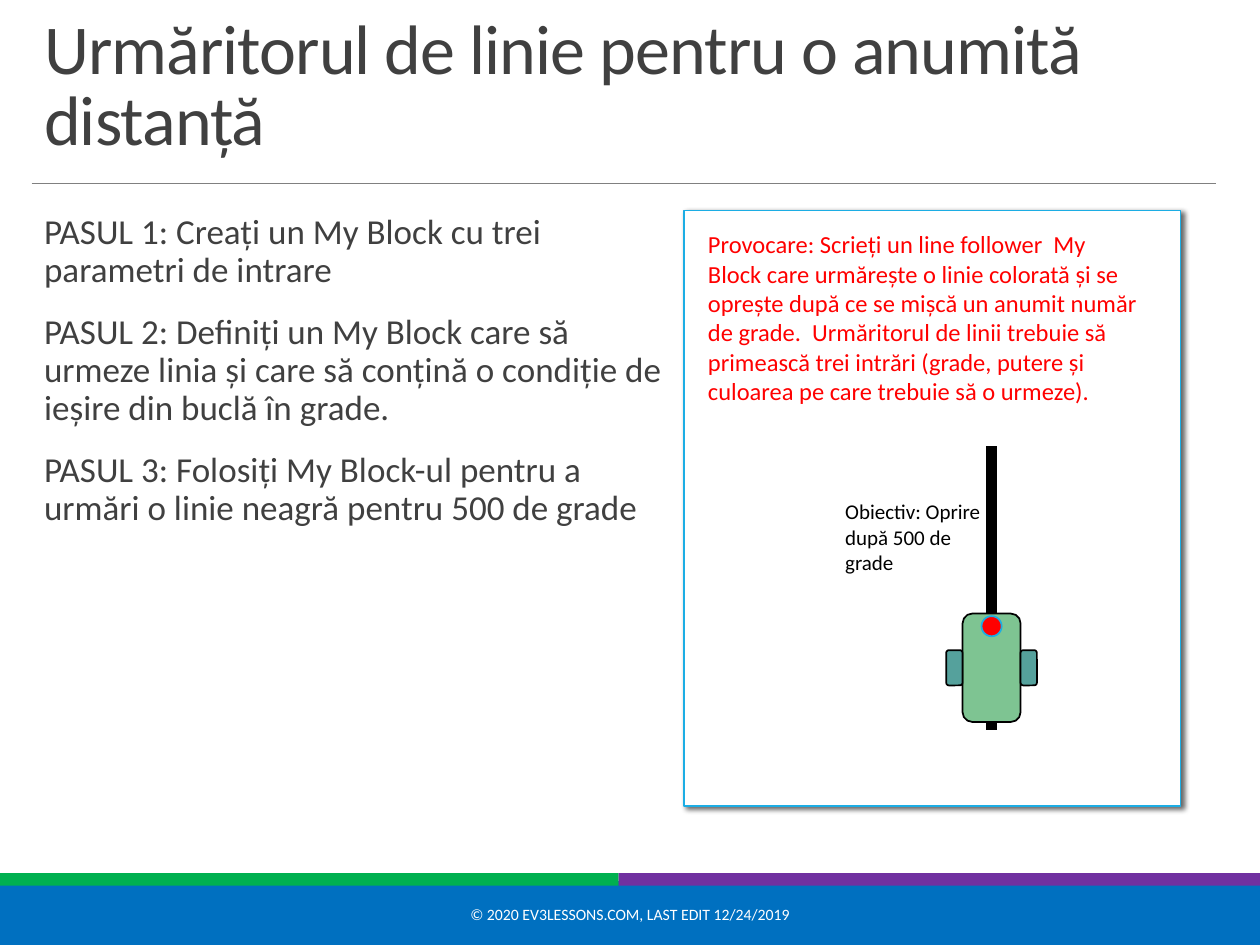
from lxml.etree import SubElement
from pptx import Presentation
from pptx.dml.color import RGBColor
from pptx.enum.shapes import MSO_CONNECTOR, MSO_SHAPE
from pptx.enum.text import MSO_ANCHOR, MSO_AUTO_SIZE, PP_ALIGN
from pptx.oxml.ns import qn
from pptx.util import Inches, Pt

COLORS = {
    "text": "404040", "challenge": "FF0000", "black": "000000", "white": "FFFFFF",
    "accent": "1CADE4", "rule": "808080", "footer": "0070C0", "green": "00B050",
    "purple": "7030A0", "robot": "7EC492", "wheel": "55A19C",
}
FONT = "Calibri"
WIDTH, HEIGHT = 10, 7.5

TITLE = "Urmăritorul de linie pentru o anumită distanță"
STEPS = [
    "PASUL 1: Creați un My Block cu trei parametri de intrare",
    "PASUL 2: Definiți un My Block care să urmeze linia și care să conțină "
    "o condiție de ieșire din buclă în grade.",
    "PASUL 3: Folosiți My Block-ul pentru a urmări o linie neagră pentru 500 de grade",
]
CHALLENGE = (
    "Provocare: Scrieți un line follower  My Block care urmărește o linie colorată și se "
    "oprește după ce se mișcă un anumit număr de grade.  Urmăritorul de linii trebuie să "
    "primească trei intrări (grade, putere și culoarea pe care trebuie să o urmeze)."
)
GOAL = "Obiectiv: Oprire după 500 de grade"
COPYRIGHT = "© 2020 EV3LESSONS.COM, LAST EDIT 12/24/2019"

MARGIN = 0.25
CONTENT_WIDTH = 0.94 * WIDTH
FOOTER_TOP = 7
STRIPE_TOP, STRIPE_HEIGHT, STRIPE_SPLIT = 6.93, 0.1, 4.91
TRACK_X = 7.87
ROBOT_Y = 5.3
ROBOT_WIDTH, ROBOT_HEIGHT = 0.46, 0.86
WHEEL_WIDTH, WHEEL_HEIGHT = 0.13, 0.28
SENSOR = 0.16


def rgb(name):
    return RGBColor.from_string(COLORS[name])


def place(shape, left, top, width, height):
    shape.left, shape.top = Inches(left), Inches(top)
    shape.width, shape.height = Inches(width), Inches(height)


def write(shape, *paragraphs, size, color="text", align=PP_ALIGN.LEFT,
          anchor=MSO_ANCHOR.TOP, line=1.0, before=0, after=0, indent=0, spacing=0):
    frame = shape.text_frame
    frame.word_wrap = True
    frame.auto_size = MSO_AUTO_SIZE.NONE
    frame.vertical_anchor = anchor
    for i, text in enumerate(paragraphs):
        paragraph = frame.paragraphs[0] if i == 0 else frame.add_paragraph()
        run = paragraph.add_run()
        run.text = text
        paragraph.alignment = align
        paragraph.line_spacing = line
        paragraph.space_before = Pt(before if i else 0)
        paragraph.space_after = Pt(after)
        if indent:
            props = paragraph._p.get_or_add_pPr()
            props.set("marL", str(Inches(indent)))
            props.set("indent", str(-Inches(indent)))
            SubElement(props, qn("a:buChar"), char=" ")
        run.font.name, run.font.size = FONT, Pt(size)
        run.font.color.rgb = rgb(color)
        if spacing:
            run._r.get_or_add_rPr().set("spc", str(round(spacing * 100)))


def add_text(slide, text, box, **style):
    write(slide.shapes.add_textbox(*map(Inches, box)), text, **style)


def add_block(shapes, kind, box, fill, outline=None, weight=1):
    block = shapes.add_shape(kind, *map(Inches, box))
    block.shadow.inherit = False
    block.fill.solid()
    block.fill.fore_color.rgb = rgb(fill)
    if outline:
        block.line.color.rgb = rgb(outline)
        block.line.width = Pt(weight)
    else:
        block.line.fill.background()
    return block


def add_line(slide, start, end, color, weight):
    line = slide.shapes.add_connector(MSO_CONNECTOR.STRAIGHT, *map(Inches, start + end))
    line.line.color.rgb = rgb(color)
    line.line.width = Pt(weight)
    SubElement(line._element.spPr, qn("a:effectLst"))


def add_shadow(block):
    effects = block._element.spPr.find(qn("a:effectLst"))
    shadow = SubElement(effects, qn("a:outerShdw"), blurRad=str(Pt(3)), dist=str(Pt(2)),
                        dir=str(45 * 60000), algn="tl", rotWithShape="0")
    tint = SubElement(shadow, qn("a:srgbClr"), val=COLORS["black"])
    SubElement(tint, qn("a:alpha"), val="60000")


def add_frame(slide):
    """Footer band, two-colour stripe and the rule under the title."""
    rect = MSO_SHAPE.RECTANGLE
    add_block(slide.shapes, rect, (0, FOOTER_TOP, WIDTH, HEIGHT - FOOTER_TOP),
              "footer", "footer", 1.25)
    add_block(slide.shapes, rect, (0, STRIPE_TOP, STRIPE_SPLIT, STRIPE_HEIGHT), "green")
    add_block(slide.shapes, rect,
              (STRIPE_SPLIT, STRIPE_TOP, WIDTH - STRIPE_SPLIT, STRIPE_HEIGHT), "purple")
    add_line(slide, (MARGIN, 1.46), (MARGIN + CONTENT_WIDTH, 1.46), "rule", 0.5)
    add_text(slide, COPYRIGHT, (3.02, 7.06, 3.96, 0.4), size=9, color="white",
             align=PP_ALIGN.CENTER, anchor=MSO_ANCHOR.MIDDLE)


def add_robot(slide):
    robot = slide.shapes.add_group_shape().shapes
    wheel_offset = (ROBOT_WIDTH + WHEEL_WIDTH) / 2
    rounded = MSO_SHAPE.ROUNDED_RECTANGLE
    parts = [
        (rounded, 0, ROBOT_Y, ROBOT_WIDTH, ROBOT_HEIGHT, "robot", "black"),
        (rounded, wheel_offset, ROBOT_Y, WHEEL_WIDTH, WHEEL_HEIGHT, "wheel", "black"),
        (rounded, -wheel_offset, ROBOT_Y, WHEEL_WIDTH, WHEEL_HEIGHT, "wheel", "black"),
        (MSO_SHAPE.OVAL, 0, 4.97, SENSOR, SENSOR, "challenge", "accent"),
    ]
    for kind, offset, middle, width, height, fill, outline in parts:
        box = (TRACK_X + offset - width / 2, middle - height / 2, width, height)
        add_block(robot, kind, box, fill, outline)


def main():
    deck = Presentation()
    deck.slide_width, deck.slide_height = Inches(WIDTH), Inches(HEIGHT)
    slide = deck.slides.add_slide(deck.slide_layouts[1])
    add_frame(slide)

    title, steps = slide.shapes.title, slide.placeholders[1]
    place(title, MARGIN, 0.21, CONTENT_WIDTH, 1.11)
    write(title, TITLE, size=40, anchor=MSO_ANCHOR.BOTTOM, line=0.85, spacing=-0.5)
    place(steps, MARGIN, 1.65, 5.03, 5.09)
    steps.text_frame.margin_left = steps.text_frame.margin_right = 0
    write(steps, *STEPS, size=20, line=0.9, before=12, after=2, indent=0.1)

    card = add_block(slide.shapes, MSO_SHAPE.RECTANGLE, (5.43, 1.67, 3.94, 4.73),
                     "white", "accent")
    add_shadow(card)
    add_text(slide, CHALLENGE, (5.52, 1.77, 3.65, 1.51), size=14, color="challenge")
    add_line(slide, (TRACK_X, 5.79), (TRACK_X, 3.54), "black", 6)
    add_robot(slide)
    add_text(slide, GOAL, (6.61, 3.91, 1.34, 0.71), size=12, color="black")
    deck.save("out.pptx")


if __name__ == "__main__":
    main()
